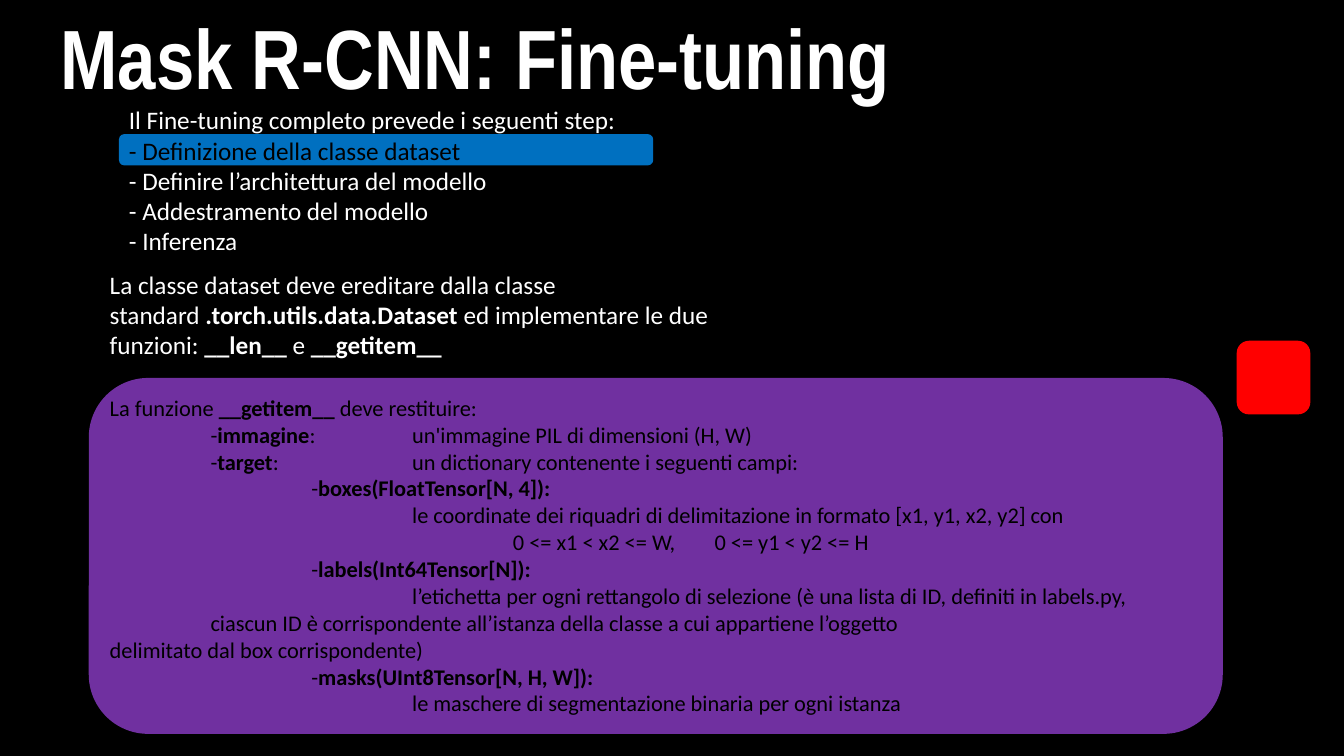
from dataclasses import dataclass

from lxml.etree import SubElement
from pptx import Presentation
from pptx.dml.color import RGBColor
from pptx.enum.shapes import MSO_SHAPE
from pptx.enum.text import MSO_ANCHOR, MSO_AUTO_SIZE, PP_ALIGN
from pptx.oxml.ns import qn
from pptx.util import Pt

COLOURS = {
    "black": "000000",
    "white": "FFFFFF",
    "purple": "7030A0",
    "blue": "0070C0",
    "red": "FF0000",
}
TAB_STEP = 72
TAB_COUNT = 6


@dataclass(frozen=True)
class Panel:
    left: float
    top: float
    width: float
    height: float
    colour: str


@dataclass(frozen=True)
class TextBlock:
    left: float
    top: float
    width: float
    height: float
    size: float
    lines: list[str]
    colour: str = "white"
    highlighted: int = -1  # index of the line set in black
    tabbed: bool = False


PANELS = [
    Panel(63.4, 270, 810, 254.2, "purple"),  # return values
    Panel(85, 95.8, 381.6, 22.3, "blue"),  # current step
    Panel(883.4, 243.4, 52.6, 52.6, "red"),  # side marker
]

# Text between double asterisks is bold
STEPS = TextBlock(85, 71.3, 373.7, 116.6, 18, [
    "Il Fine-tuning completo prevede i seguenti step:",
    "- Definizione della classe dataset",
    "- Definire l’architettura del modello",
    "- Addestramento del modello",
    "- Inferenza",
], highlighted=1)
DATASET_CLASS = TextBlock(71.3, 188.6, 445.7, 72.7, 18, [
    "La classe dataset deve ereditare dalla classe standard "
    "**.torch.utils.data.Dataset** ed implementare le due funzioni: "
    "**__len__** e **__getitem__**",
])
RETURN_VALUES = TextBlock(71.3, 277.9, 786.2, 239.8, 16, [
    "La funzione **__getitem__** deve restituire:",
    "\t-**immagine**: \tun'immagine PIL di dimensioni (H, W)",
    "\t-**target**:\t\tun dictionary contenente i seguenti campi:",
    "\t\t-**boxes(FloatTensor[N, 4]):**",
    "\t\t\tle coordinate dei riquadri di delimitazione in formato [x1, y1, x2, y2] con",
    "\t\t\t\t0 <= x1 < x2 <= W,\t0 <= y1 < y2 <= H",
    "\t\t-**labels(Int64Tensor[N]):**",
    "\t\t\tl’etichetta per ogni rettangolo di selezione (è una lista di ID, definiti in labels.py,",
    "\tciascun ID è corrispondente all’istanza della classe a cui appartiene l’oggetto",
    "delimitato dal box corrispondente)",
    "\t\t-**masks(UInt8Tensor[N, H, W]):**",
    "\t\t\tle maschere di segmentazione binaria per ogni istanza",
], colour="black", tabbed=True)


def rgb(name: str) -> RGBColor:
    return RGBColor.from_string(COLOURS[name])


def write(para, text: str, *, font: str, size: float, colour: str,
          bold: bool = False) -> None:
    """Add the text as spans; double asterisks switch bold on and off."""
    for index, part in enumerate(text.split("**")):
        if part:
            span = para.add_run()
            span.text = part
            span.font.name = font
            span.font.size = Pt(size)
            span.font.bold = bold or index % 2 == 1
            span.font.color.rgb = rgb(colour)


def add_tab_stops(para) -> None:
    stops = SubElement(para._p.get_or_add_pPr(), qn("a:tabLst"))
    for number in range(1, TAB_COUNT + 1):
        SubElement(stops, qn("a:tab"), pos=str(Pt(TAB_STEP * number)), algn="l")


def add_panel(page, panel: Panel) -> None:
    shape = page.shapes.add_shape(
        MSO_SHAPE.ROUNDED_RECTANGLE,
        Pt(panel.left), Pt(panel.top), Pt(panel.width), Pt(panel.height))
    shape.shadow.inherit = False
    shape.fill.solid()
    shape.fill.fore_color.rgb = rgb(panel.colour)
    shape.line.fill.background()


def add_text(page, block: TextBlock) -> None:
    box = page.shapes.add_textbox(
        Pt(block.left), Pt(block.top), Pt(block.width), Pt(block.height))
    frame = box.text_frame
    frame.word_wrap = True
    for index, line in enumerate(block.lines):
        para = frame.add_paragraph() if index else frame.paragraphs[0]
        if block.tabbed:
            add_tab_stops(para)
        colour = "black" if index == block.highlighted else block.colour
        write(para, line, font="Calibri", size=block.size, colour=colour)


def set_title(page, text: str) -> None:
    title = page.shapes.title
    title.left, title.top, title.width, title.height = Pt(36), Pt(0), Pt(874), Pt(80)
    frame = title.text_frame
    frame.word_wrap = True
    frame.auto_size = MSO_AUTO_SIZE.NONE
    frame.vertical_anchor = MSO_ANCHOR.MIDDLE
    para = frame.paragraphs[0]
    para.alignment = PP_ALIGN.LEFT
    write(para, text, font="Arial Narrow", size=60, colour="white", bold=True)


def main() -> None:
    deck = Presentation()
    deck.slide_width, deck.slide_height = Pt(960), Pt(540)
    page = deck.slides.add_slide(deck.slide_layouts[5])
    page.background.fill.solid()
    page.background.fill.fore_color.rgb = rgb("black")

    # Coloured panels behind the text
    for panel in PANELS:
        add_panel(page, panel)

    # Title and text blocks
    set_title(page, "Mask R-CNN: Fine-tuning")
    for block in (STEPS, DATASET_CLASS, RETURN_VALUES):
        add_text(page, block)

    deck.save("out.pptx")


if __name__ == "__main__":
    main()
